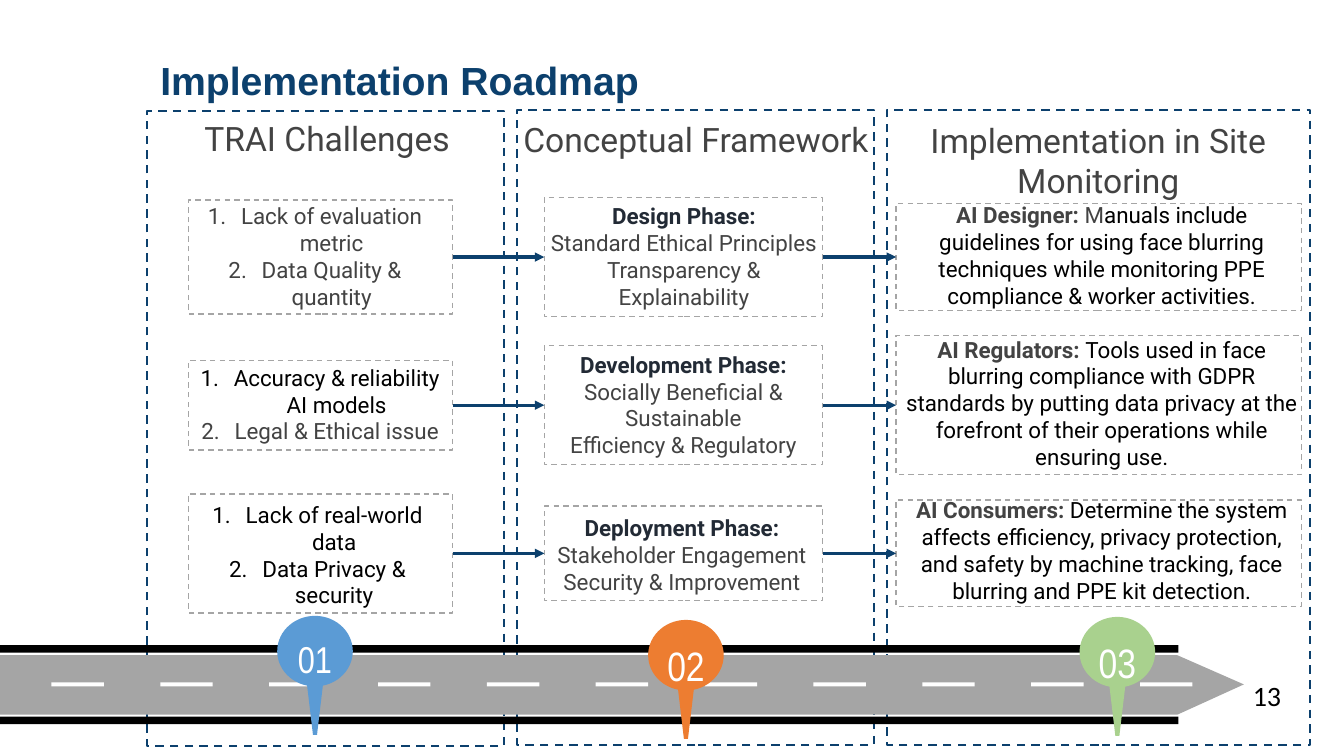
from dataclasses import dataclass
from math import cos, radians, sin

from lxml.etree import SubElement
from pptx import Presentation
from pptx.dml.color import RGBColor
from pptx.enum.dml import MSO_LINE
from pptx.enum.shapes import MSO_CONNECTOR, MSO_SHAPE
from pptx.enum.text import MSO_ANCHOR, MSO_AUTO_SIZE, PP_ALIGN
from pptx.oxml.ns import qn
from pptx.util import Inches, Pt

COLUMNS, ROWS = 133.33, 75


@dataclass(frozen=True)
class Theme:
    navy: str = "0C406D"
    grey: str = "A5A5A5"
    body: str = "434343"
    phase: str = "222A35"
    black: str = "000000"
    white: str = "FFFFFF"
    pins: tuple = ("5B9BD5", "ED7D31", "A9D18E")
    font: str = "Roboto"
    title_font: str = "Arial"
    pin_font: str = "Arial Narrow"
    number_font: str = "Calibri"
    title_size: float = 28
    heading_size: float = 24
    body_size: float = 16
    number_size: float = 20
    pin_sizes: tuple = (26.7, 29.3, 29.3)


THEME = Theme()

# Grid areas are (left column, top row, columns, rows).
PANELS = ((14.6, 11, 35.4, 63), (51.3, 10.9, 35.4, 63), (88, 10.9, 42, 63))
HEADINGS = (
    ("TRAI Challenges", (18.7, 10.5, 27.5, 6.3)),
    ("Conceptual Framework", (50, 10.7, 38.1, 6.1)),
    ("Implementation in Site Monitoring", (88, 12.7, 41.9, 6.3)),
)
CARD_COLUMNS = ((18.7, 26.2), (54, 27.6), (88.9, 40.2))
CARD_ROWS = ((11.3, 11.8, 10.6), (8.9, 11.8, 13.8), (11.8, 9.4, 10.6))
FIRST_CARD_CENTRE, CARD_STEP = 25.5, 14.7
PINS = ((27.5, 61.1), (64.3, 61.5), (107.1, 61.2))

CHALLENGES = (
    ((18, 18.8, 26.5, 8.8), ("Lack of evaluation metric", THEME.body),
     ("Data Quality & quantity", THEME.body)),
    ((18, 34.8, 27.5, 4.7), ("Accuracy & reliability AI models", THEME.black),
     ("Legal & Ethical issue", THEME.body)),
    ((18.6, 48.4, 25.8, 4.7), ("Lack of real-world data", THEME.black),
     ("Data Privacy & security", THEME.black)),
)
PHASES = (
    ((53, 18.8, 29.7, 12.9), "Design Phase:", "Standard Ethical Principles",
     "Transparency & Explainability"),
    ((54, 33.5, 27.6, 12.8), "Development Phase:", "Socially Beneficial & Sustainable",
     "Efficiency & Regulatory"),
    ((52.8, 49.7, 29.7, 9.3), "Deployment Phase:", "Stakeholder Engagement",
     "Security & Improvement"),
)
ROLES_AREA = (88.3, 18.7, 42, 56.2)
ROLES = (
    (("AI Designer: ", THEME.body, True), ("M", THEME.body, False),
     ("anuals include guidelines for using face blurring techniques while "
      "monitoring PPE compliance & worker activities.", THEME.black, False)),
    (("AI Regulators: ", THEME.body, True),
     ("Tools used in face blurring compliance with GDPR standards by putting data "
      "privacy at the forefront of their operations while ensuring use.", THEME.black, False)),
    (("AI Consumers: ", THEME.body, True),
     ("Determine the system affects efficiency, privacy protection, and safety by "
      "machine tracking, face blurring and PPE kit detection.", THEME.black, False)),
)


def grid(*cells):
    """Turn grid columns or rows, ten to the inch, into lengths."""
    return [Inches(cell / 10) for cell in cells]


def colour(value):
    return RGBColor.from_string(value)


def place(shape, area):
    shape.left, shape.top, shape.width, shape.height = grid(*area)


def write(shape, paragraphs, size=THEME.body_size, font=THEME.font, align=PP_ALIGN.CENTER,
          anchor=MSO_ANCHOR.TOP, gap=0, numbered=False, inset=1.3, top_inset=1.3):
    """Fill a shape with paragraphs, each a sequence of (text, colour, bold) runs."""
    frame = shape.text_frame
    frame.auto_size = MSO_AUTO_SIZE.NONE
    frame.word_wrap = True
    frame.vertical_anchor = anchor
    frame.margin_left, frame.margin_right, frame.margin_bottom, frame.margin_top = grid(
        inset, inset, inset, top_inset)
    for index, runs in enumerate(paragraphs):
        paragraph = frame.add_paragraph() if index else frame.paragraphs[0]
        paragraph.alignment = align
        paragraph.space_before = Pt(gap if index else 0)
        set_bullet(paragraph, numbered)
        for text, ink, bold in runs:
            run = paragraph.add_run()
            run.text = text
            run.font.name, run.font.size, run.font.bold = font, Pt(size), bold
            run.font.color.rgb = colour(ink)


def set_bullet(paragraph, numbered):
    properties = paragraph._p.get_or_add_pPr()
    indent = Inches(0.33) if numbered else 0
    properties.set("marL", str(indent))
    properties.set("indent", str(-indent))
    if numbered:
        SubElement(properties, qn("a:buFont"), typeface="+mj-lt")
        SubElement(properties, qn("a:buAutoNum"), type="arabicPeriod")
    else:
        SubElement(properties, qn("a:buNone"))


def add_label(slide, area, paragraphs, **style):
    write(slide.shapes.add_textbox(*grid(*area)), paragraphs, **style)


def fill_solid(shape, value):
    shape.shadow.inherit = False
    shape.fill.solid()
    shape.fill.fore_color.rgb = colour(value)
    shape.line.fill.background()


def add_bar(slide, area, value):
    fill_solid(slide.shapes.add_shape(MSO_SHAPE.RECTANGLE, *grid(*area)), value)


def add_frame(slide, area, value, width):
    frame = slide.shapes.add_shape(MSO_SHAPE.RECTANGLE, *grid(*area))
    frame.shadow.inherit = False
    frame.fill.background()
    frame.line.color.rgb = colour(value)
    frame.line.width = Pt(width)
    frame.line.dash_style = MSO_LINE.DASH


def add_outline(slide, points, value):
    start, *rest = [grid(*point) for point in points]
    builder = slide.shapes.build_freeform(*start, scale=1.0)
    builder.add_line_segments(rest, close=True)
    outline = builder.convert_to_shape()
    fill_solid(outline, value)
    return outline


def add_arrow(slide, start, end, row):
    arrow = slide.shapes.add_connector(MSO_CONNECTOR.STRAIGHT, *grid(start, row, end, row))
    arrow.line.color.rgb = colour(THEME.navy)
    arrow.line.width = Pt(2.25)
    SubElement(arrow.line._get_or_add_ln(), qn("a:tailEnd"), type="triangle")
    SubElement(arrow._element.spPr, qn("a:effectLst"))


def add_road(slide):
    add_outline(slide, ((0, 65), (0, 70.9), (116.8, 70.9), (123.4, 67.9), (116.8, 65)), THEME.grey)
    for row in (64, 71.1):
        add_bar(slide, (0, row, 116.9, 0.75), THEME.black)
    for dash in range(11):
        add_bar(slide, (5.1 + 10.8 * dash, 67.7, 5.2, 0.4), THEME.white)


def add_pin(slide, left, top, number):
    head = [(left + 3.75 + 3.75 * cos(radians(angle)), top + 3.5 + 3.5 * sin(radians(angle)))
            for angle in range(102, 439, 6)]
    tip = [(left + 3.95, top + 11.8), (left + 3.55, top + 11.8)]
    pin = add_outline(slide, head + tip, THEME.pins[number])
    write(pin, [[(f"{number + 1:02}", THEME.white, False)]], size=THEME.pin_sizes[number],
          font=THEME.pin_font, top_inset=2)


def add_cards(slide):
    for row, heights in enumerate(CARD_ROWS):
        centre = FIRST_CARD_CENTRE + CARD_STEP * row
        for (left, width), height in zip(CARD_COLUMNS, heights):
            add_frame(slide, (left, centre - height / 2, width, height), THEME.grey, 1)
        for (left, width), (end, _) in zip(CARD_COLUMNS, CARD_COLUMNS[1:]):
            add_arrow(slide, left + width, end, centre)


def fill_placeholders(slide):
    title, *bodies = slide.placeholders
    place(title, (14.6, 4.4, 112.6, 7))
    write(title, [[("Implementation Roadmap", THEME.navy, True)]], size=THEME.title_size,
          font=THEME.title_font, align=PP_ALIGN.LEFT, anchor=MSO_ANCHOR.MIDDLE)
    for body, (area, *items) in zip(bodies, CHALLENGES):
        place(body, area)
        write(body, [[(text, ink, False)] for text, ink in items], numbered=True)
    place(bodies[-1], ROLES_AREA)
    write(bodies[-1], ROLES, gap=19)


def main():
    presentation = Presentation()
    presentation.slide_width, presentation.slide_height = grid(COLUMNS, ROWS)
    comparison_layout = presentation.slide_layouts[4]
    slide = presentation.slides.add_slide(comparison_layout)
    fill_placeholders(slide)
    for panel in PANELS:
        add_frame(slide, panel, THEME.navy, 1.5)
    add_road(slide)
    for text, area in HEADINGS:
        add_label(slide, area, [[(text, THEME.body, False)]], size=THEME.heading_size,
                  anchor=MSO_ANCHOR.MIDDLE)
    for area, phase, *principles in PHASES:
        lines = [[(text, THEME.body, False)] for text in principles]
        add_label(slide, area, [[(phase, THEME.phase, True)], *lines])
    add_cards(slide)
    for number, (left, top) in enumerate(PINS):
        add_pin(slide, left, top, number)
    add_label(slide, (123.3, 66.8, 5.5, 4.4), [[("13", THEME.black, False)]],
              size=THEME.number_size, font=THEME.number_font, align=PP_ALIGN.LEFT,
              inset=1, top_inset=0.5)
    presentation.save("out.pptx")


if __name__ == "__main__":
    main()
